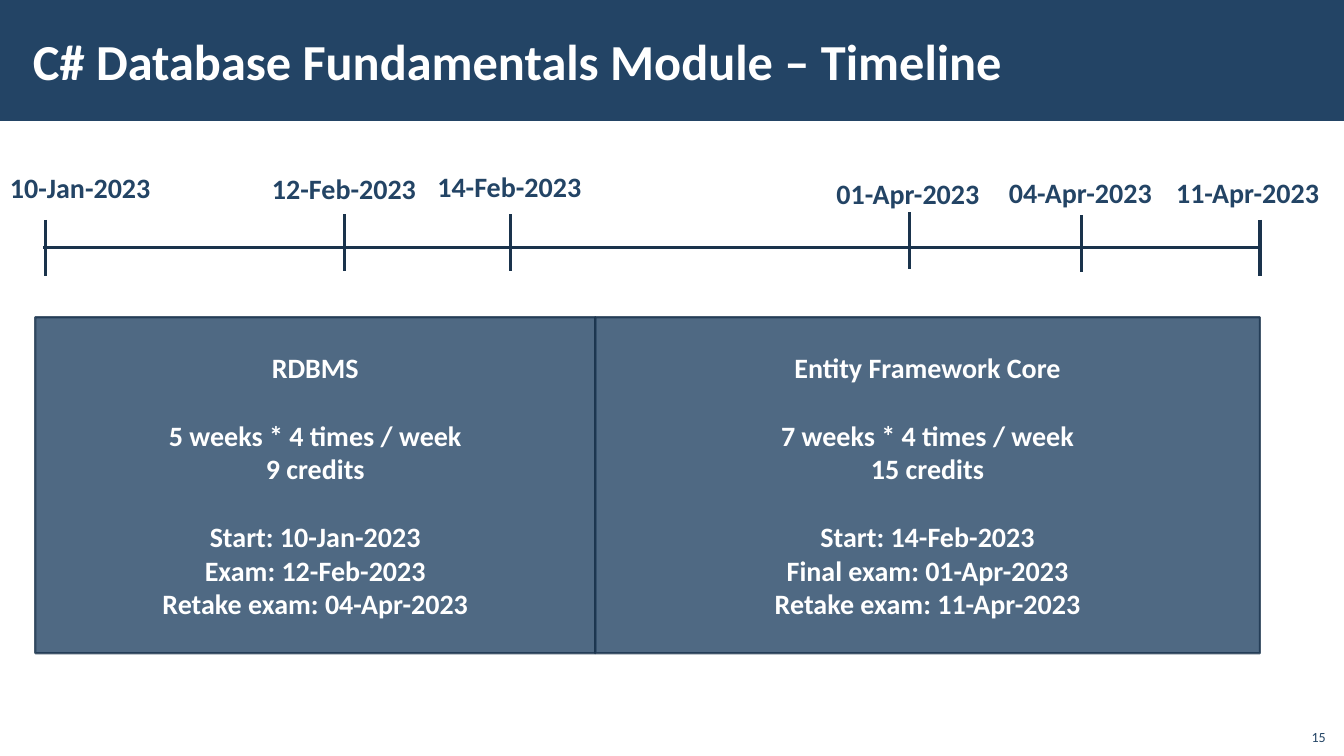
from lxml import etree
from pptx import Presentation
from pptx.dml.color import RGBColor
from pptx.enum.shapes import MSO_CONNECTOR, MSO_SHAPE
from pptx.enum.text import MSO_ANCHOR as Anchor, PP_ALIGN as Align
from pptx.oxml.ns import qn
from pptx.util import Pt

COLORS = {"navy": "234465", "dark": "1A334C", "white": "FFFFFF"}
FONT = "Calibri"
LINE_HEIGHT = 24.4


def write(shape, groups, size=20, color="navy", bold=True, align=Align.LEFT,
          anchor=Anchor.TOP, wrap=True, inset=7.2):
    """Fill a shape with groups of lines, leaving one line of space between groups."""
    frame = shape.text_frame
    frame.word_wrap = wrap
    frame.vertical_anchor = anchor
    frame.margin_left = frame.margin_right = Pt(inset)
    lines = [(line, group > 0 and place == 0)
             for group, members in enumerate(groups)
             for place, line in enumerate(members)]
    for index, (line, gap) in enumerate(lines):
        para = frame.add_paragraph() if index else frame.paragraphs[0]
        para.alignment = align
        if gap:
            para.space_before = Pt(LINE_HEIGHT)
        span = para.add_run()
        span.text = line
        span.font.name = FONT
        span.font.size = Pt(size)
        span.font.bold = bold
        span.font.color.rgb = RGBColor.from_string(COLORS[color])


def draw_line(x1, y1, x2, y2):
    line = slide.shapes.add_connector(
        MSO_CONNECTOR.STRAIGHT, Pt(x1), Pt(y1), Pt(x2), Pt(y2))
    line.line.color.rgb = RGBColor.from_string(COLORS["dark"])
    line.line.width = Pt(2.25)
    etree.SubElement(line._element.spPr, qn("a:effectLst"))


deck = Presentation()
deck.slide_width, deck.slide_height = Pt(960), Pt(540)
slide = deck.slides.add_slide(deck.slide_layouts[6])

# Title band
band = slide.shapes.add_shape(MSO_SHAPE.RECTANGLE, 0, 0, Pt(960), Pt(86.4))
band.shadow.inherit = False
band.fill.solid()
band.fill.fore_color.rgb = RGBColor.from_string(COLORS["navy"])
band.line.fill.background()
title = slide.shapes.add_textbox(Pt(15), Pt(8), Pt(765), Pt(70))
write(title, [["C# Database Fundamentals Module – Timeline"]], size=36,
      color="white", anchor=Anchor.MIDDLE, inset=8.5)

# Course panels
panels = [
    (25.2, 400, [["RDBMS"],
                 ["5 weeks * 4 times / week", "9 credits"],
                 ["Start: 10-Jan-2023", "Exam: 12-Feb-2023",
                  "Retake exam: 04-Apr-2023"]]),
    (425.2, 474.8, [["Entity Framework Core"],
                    ["7 weeks * 4 times / week", "15 credits"],
                    ["Start: 14-Feb-2023", "Final exam: 01-Apr-2023",
                     "Retake exam: 11-Apr-2023"]]),
]
for left, width, groups in panels:
    panel = slide.shapes.add_shape(
        MSO_SHAPE.RECTANGLE, Pt(left), Pt(226.6), Pt(width), Pt(240))
    panel.shadow.inherit = False
    panel.fill.solid()
    panel.fill.fore_color.rgb = RGBColor.from_string(COLORS["navy"])
    panel.line.color.rgb = RGBColor.from_string(COLORS["dark"])
    panel.line.width = Pt(1.5)
    for color in panel._element.spPr.iter(qn("a:srgbClr")):
        etree.SubElement(color, qn("a:alpha"), val="80000")
    write(panel, groups, color="white", align=Align.CENTER, anchor=Anchor.MIDDLE)

# Timeline: date, tick x, tick top, label left, label top
draw_line(31, 177, 900, 177)
milestones = [
    ("10-Jan-2023", 32.4, 157, 0, 118.4),
    ("12-Feb-2023", 246.2, 153.2, 187.2, 118.8),
    ("14-Feb-2023", 364.5, 153.2, 305.3, 117.8),
    ("01-Apr-2023", 649.5, 151.5, 590.4, 122.6),
    ("04-Apr-2023", 772.5, 153.7, 713.5, 121.9),
    ("11-Apr-2023", 900, 157, 833, 121.9),
]
for date, x, tick_top, left, top in milestones:
    draw_line(x, tick_top, x, tick_top + 40.5)
    label = slide.shapes.add_textbox(Pt(left), Pt(top), Pt(118), Pt(31.5))
    write(label, [[date]], wrap=False)

# Slide number
number = slide.shapes.add_textbox(Pt(925), Pt(512.6), Pt(29), Pt(23))
write(number, [["15"]], size=10, bold=False, align=Align.RIGHT, anchor=Anchor.BOTTOM)

deck.save("out.pptx")
